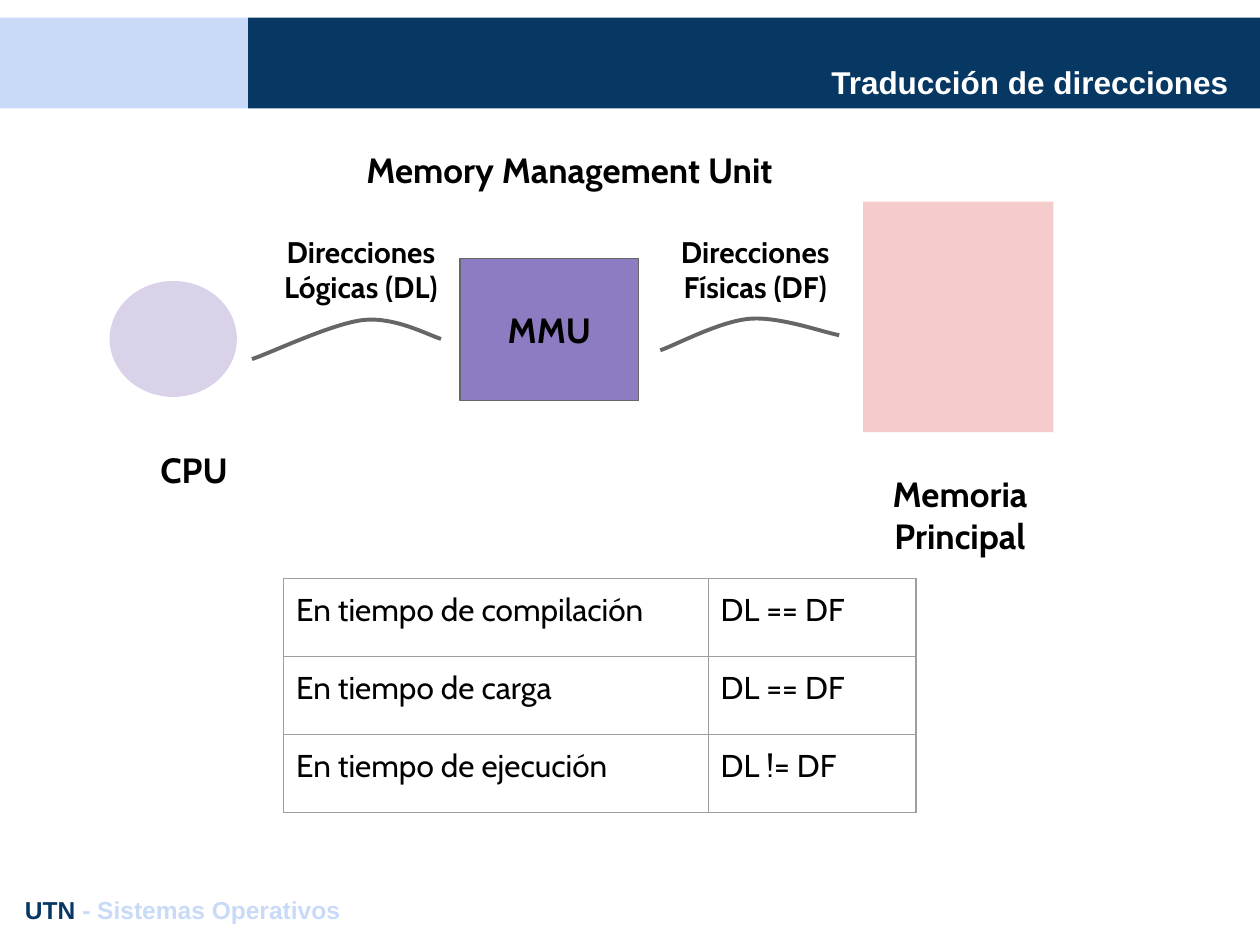
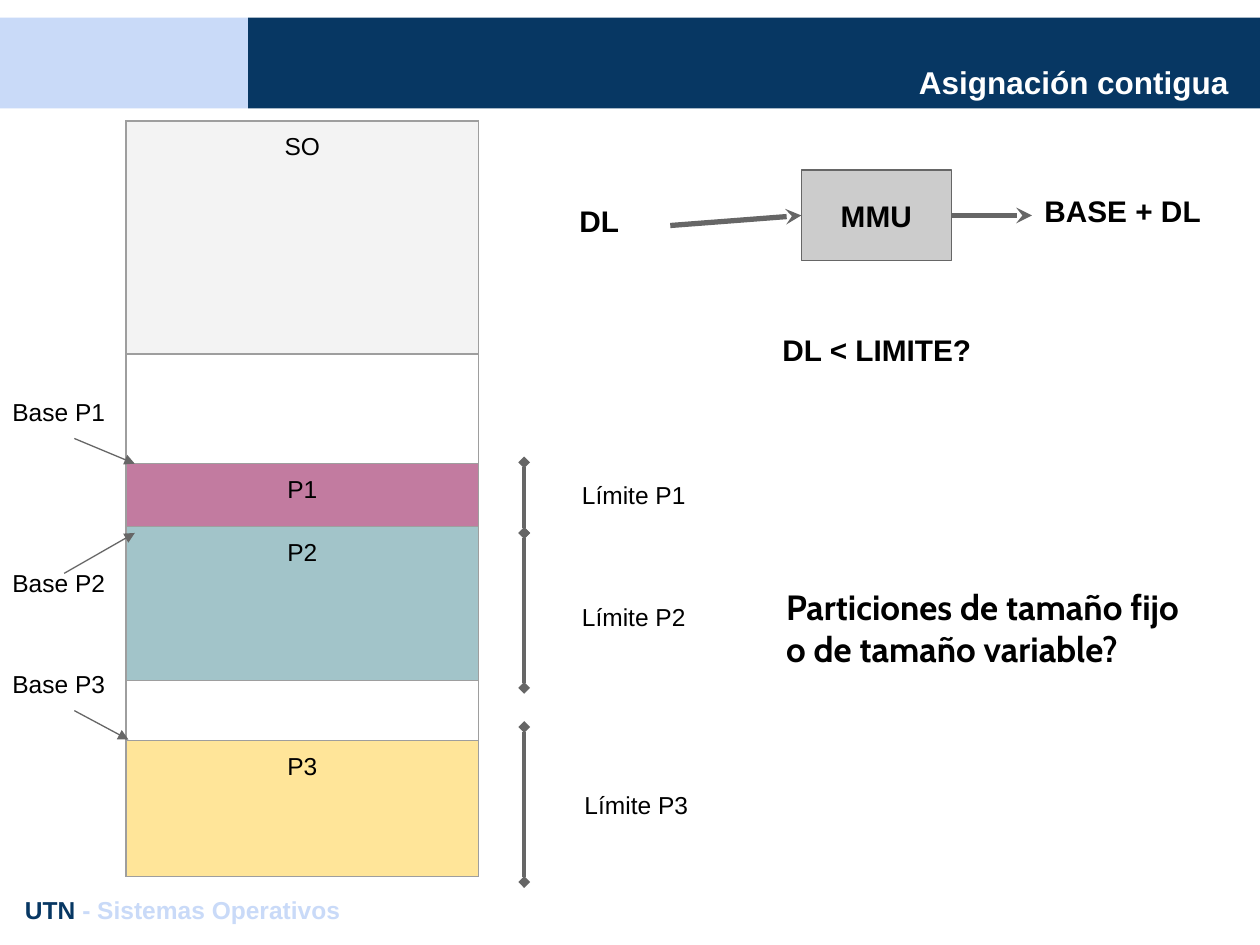
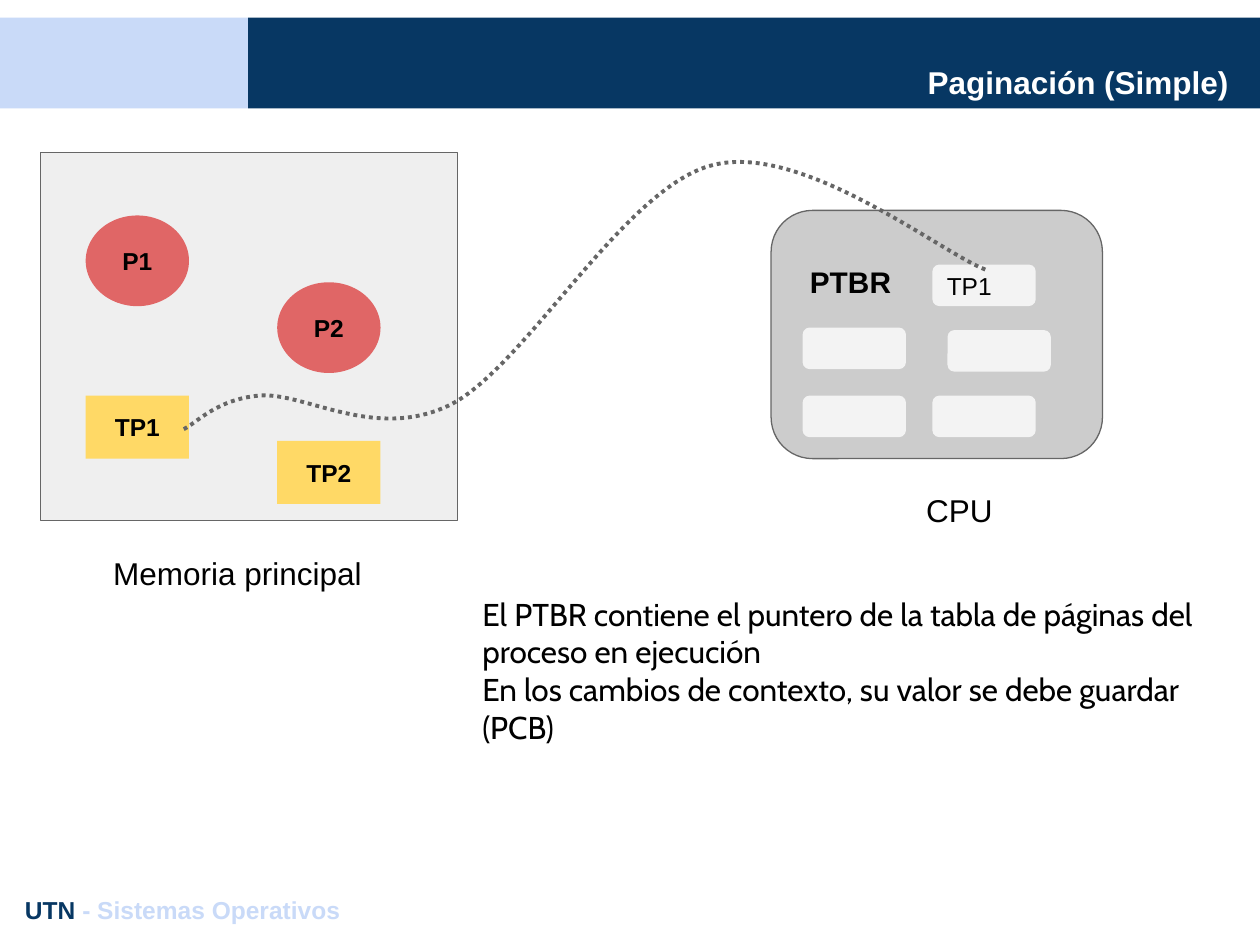
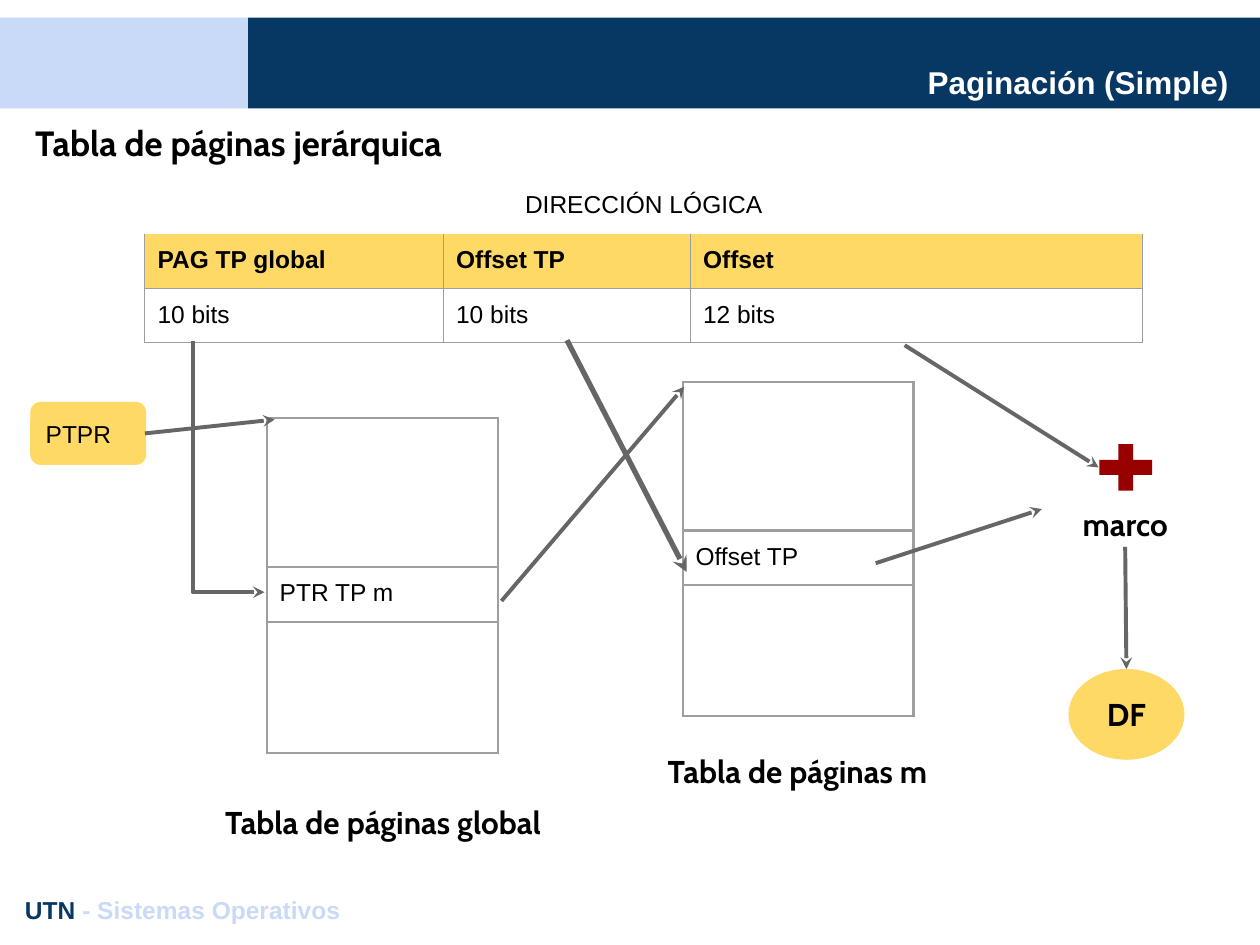
from dataclasses import dataclass, replace
from typing import NamedTuple, Optional, Sequence

from lxml.etree import SubElement
from pptx import Presentation
from pptx.dml.color import RGBColor
from pptx.enum.dml import MSO_LINE
from pptx.enum.shapes import MSO_CONNECTOR, MSO_SHAPE
from pptx.enum.text import MSO_ANCHOR, PP_ALIGN
from pptx.oxml.ns import qn
from pptx.util import Inches, Pt

COLORS = {
    "navy": "073763", "sky": "C9DAF8", "white": "FFFFFF", "black": "000000",
    "stroke": "666666", "grid": "9E9E9E", "violet": "8E7CC3", "lilac": "D9D2E9",
    "rose": "F4CCCC", "cloud": "F3F3F3", "fog": "EFEFEF", "steel": "CCCCCC",
    "mauve": "C27BA0", "teal": "A2C4C9", "cream": "FFE599", "amber": "FFD966",
    "coral": "E06666", "crimson": "980000",
}
INSET = Inches(0.1)
PLAIN_TABLE_STYLE = "{2D5ABB26-0587-4C30-8999-92F81FD0307C}"
ALL_SIDES = "LRTB"


class Box(NamedTuple):
    left: float
    top: float
    width: float
    height: float

    def lengths(self) -> list[int]:
        return [Inches(value) for value in self]


class Point(NamedTuple):
    x: float
    y: float


@dataclass(frozen=True)
class Style:
    size: int
    font: str = "Arial"
    bold: bool = False
    color: str = "black"
    align: PP_ALIGN = PP_ALIGN.LEFT
    anchor: MSO_ANCHOR = MSO_ANCHOR.TOP
    indent: float = 0
    spacing: Optional[float] = None


@dataclass(frozen=True)
class Cell:
    text: str = ""
    fill: Optional[str] = None
    style: Style = Style(14)
    sides: str = ALL_SIDES
    span: int = 1


def centered(style: Style) -> Style:
    return replace(style, align=PP_ALIGN.CENTER)


def in_shape(style: Style) -> Style:
    return replace(style, anchor=MSO_ANCHOR.MIDDLE)


LABEL = Style(14)
LABEL_BOLD = Style(14, bold=True)
FORMULA = Style(17, bold=True)
CAPTION = centered(Style(18))
BODY = Style(18, "Cabin")
NAME = centered(Style(18, "Cabin", True))
HEADING = Style(20, "Cabin", True)
ADDRESS = centered(Style(17, "Cabin", True, anchor=MSO_ANCHOR.BOTTOM))
TITLE = Style(18, bold=True, color="white", align=PP_ALIGN.RIGHT,
              anchor=MSO_ANCHOR.BOTTOM)
FOOTER = replace(LABEL_BOLD, color="navy")


def rgb(color: str) -> RGBColor:
    return RGBColor.from_string(COLORS[color])


def add_run(paragraph, text: str, style: Style) -> None:
    run = paragraph.add_run()
    run.text = text
    run.font.size, run.font.name, run.font.bold = Pt(style.size), style.font, style.bold
    run.font.color.rgb = rgb(style.color)


def write(frame, lines: Sequence[str], style: Style) -> None:
    """Fill a text frame with one paragraph per line."""
    frame.word_wrap = True
    frame.vertical_anchor = style.anchor
    frame.margin_left = frame.margin_right = INSET
    frame.margin_top = frame.margin_bottom = INSET
    for index, line in enumerate(lines):
        paragraph = frame.add_paragraph() if index else frame.paragraphs[0]
        paragraph.alignment = style.align
        if style.indent:
            paragraph._p.get_or_add_pPr().set("marL", str(Inches(style.indent)))
        if style.spacing:
            paragraph.line_spacing = style.spacing
        add_run(paragraph, line, style)


def add_text(slide, box: Box, style: Style, *lines: str):
    frame = slide.shapes.add_textbox(*box.lengths()).text_frame
    write(frame, lines, style)
    return frame


def add_block(slide, kind: MSO_SHAPE, box: Box, fill: str, text: str = "",
              style: Style = LABEL, outlined: bool = False) -> None:
    block = slide.shapes.add_shape(kind, *box.lengths())
    block.shadow.inherit = False
    block.fill.solid()
    block.fill.fore_color.rgb = rgb(fill)
    if outlined:
        block.line.color.rgb = rgb("stroke")
        block.line.width = Pt(0.75)
    else:
        block.line.fill.background()
    if text:
        write(block.text_frame, [text], in_shape(style))


def add_arrow(slide, start: Point, end: Point, width: float = 2.25,
              tail: str = "stealth", head: str = "",
              kind: MSO_CONNECTOR = MSO_CONNECTOR.STRAIGHT):
    arrow = slide.shapes.add_connector(
        kind, *(Inches(value) for value in (*start, *end)))
    arrow.line.color.rgb = rgb("stroke")
    arrow.line.width = Pt(width)
    ends = arrow.line._get_or_add_ln()
    for tag, shape in (("a:headEnd", head), ("a:tailEnd", tail)):
        if shape:
            SubElement(ends, qn(tag)).set("type", shape)
    SubElement(arrow._element.spPr, qn("a:effectLst"))
    return arrow


def add_down_then_right(slide, start: Point, end: Point) -> None:
    """Elbow arrow with one corner: an elbow turned by 270 degrees."""
    middle = Point((start.x + end.x) / 2, (start.y + end.y) / 2)
    half_width, half_height = (end.y - start.y) / 2, (end.x - start.x) / 2
    elbow = add_arrow(slide,
                      Point(middle.x + half_width, middle.y - half_height),
                      Point(middle.x - half_width, middle.y + half_height),
                      kind=MSO_CONNECTOR.ELBOW)
    properties = elbow._element.spPr
    properties.find(qn("a:xfrm")).set("rot", str(270 * 60000))
    guides = properties.find(qn("a:prstGeom")).get_or_add_avLst()
    corner = SubElement(guides, qn("a:gd"))
    corner.set("name", "adj1")
    corner.set("fmla", "val 100000")


def add_curve(slide, start: Point, segments: Sequence[Sequence[Point]],
              dotted: bool = False) -> None:
    """Draw cubic segments, each given as two control points and an end."""
    builder = slide.shapes.build_freeform(Inches(start.x), Inches(start.y))
    builder.add_line_segments(
        [(Inches(end.x), Inches(end.y)) for _, _, end in segments], close=False)
    curve = builder.convert_to_shape()
    curve.shadow.inherit = False
    curve.fill.background()
    curve.line.color.rgb = rgb("stroke")
    curve.line.width = Pt(2.25)
    if dotted:
        curve.line.dash_style = MSO_LINE.ROUND_DOT
    straights = list(curve._element.iter(qn("a:lnTo")))
    for straight, segment in zip(straights, segments):
        straight.tag = qn("a:cubicBezTo")
        straight.clear()
        for point in segment:
            corner = SubElement(straight, qn("a:pt"))
            corner.set("x", str(Inches(point.x) - curve.left))
            corner.set("y", str(Inches(point.y) - curve.top))


def set_borders(cell, sides: str, width: float) -> None:
    properties = cell._tc.get_or_add_tcPr()
    for side in ALL_SIDES:
        border = SubElement(properties, qn(f"a:ln{side}"))
        if side in sides:
            border.set("w", str(Pt(width)))
            fill = SubElement(border, qn("a:solidFill"))
            SubElement(fill, qn("a:srgbClr")).set("val", COLORS["grid"])
        else:
            SubElement(border, qn("a:noFill"))


def fill_cell(cell, content: Cell, border: float) -> None:
    cell.margin_left = cell.margin_right = INSET
    cell.margin_top = cell.margin_bottom = INSET
    set_borders(cell, content.sides, border)
    if content.fill:
        cell.fill.solid()
        cell.fill.fore_color.rgb = rgb(content.fill)
    else:
        cell.fill.background()
    paragraph = cell.text_frame.paragraphs[0]
    paragraph.alignment = content.style.align
    if content.text:
        add_run(paragraph, content.text, content.style)
    else:
        paragraph._p.get_or_add_endParaRPr().set("sz", str(content.style.size * 100))


def add_grid(slide, corner: Point, widths: Sequence[float],
             heights: Sequence[float], rows: Sequence[Sequence[Cell]],
             border: float = 0.75) -> None:
    box = Box(*corner, sum(widths), sum(heights))
    table = slide.shapes.add_table(len(heights), len(widths), *box.lengths()).table
    table.first_row = table.horz_banding = False
    table._tbl.tblPr.find(qn("a:tableStyleId")).text = PLAIN_TABLE_STYLE
    for column, width in zip(table.columns, widths):
        column.width = Inches(width)
    for row, height in zip(table.rows, heights):
        row.height = Inches(height)
    for r, row in enumerate(rows):
        for c, content in enumerate(row):
            cell = table.cell(r, c)
            if content.span > 1:
                cell.merge(table.cell(r, c + content.span - 1))
            fill_cell(cell, content, border)


def start_slide(deck, title: str):
    """Add a blank slide with the bands, the title and the footer."""
    slide = deck.slides.add_slide(deck.slide_layouts[6])
    add_block(slide, MSO_SHAPE.RECTANGLE, Box(0, 0.14, 1.97, 0.72), "sky")
    add_block(slide, MSO_SHAPE.RECTANGLE, Box(1.97, 0.14, 8.03, 0.72), "navy")
    add_text(slide, Box(1.35, 0.4, 8.5, 0.5), TITLE, title)
    footer = add_text(slide, Box(0.1, 7, 9.8, 0.44), FOOTER, "UTN ")
    add_run(footer.paragraphs[0], "- Sistemas Operativos", replace(FOOTER, color="sky"))
    return slide


def build_translation(deck) -> None:
    slide = start_slide(deck, "Traducción de direcciones")
    moments = [("En tiempo de compilación", "DL == DF"),
               ("En tiempo de carga", "DL == DF"),
               ("En tiempo de ejecución", "DL != DF")]
    add_grid(slide, Point(2.25, 4.59), [3.37, 1.65], [0.62] * 3,
             [[Cell(text, style=BODY) for text in moment] for moment in moments])

    name = centered(HEADING)
    add_block(slide, MSO_SHAPE.RECTANGLE, Box(3.65, 2.05, 1.42, 1.13), "violet",
              "MMU", name, outlined=True)
    add_block(slide, MSO_SHAPE.OVAL, Box(0.87, 2.23, 1.01, 0.92), "lilac")
    add_block(slide, MSO_SHAPE.RECTANGLE, Box(6.85, 1.6, 1.51, 1.83), "rose")
    add_text(slide, Box(2.19, 1.08, 4.66, 0.44), name, "Memory Management Unit")
    add_text(slide, Box(0.83, 3.46, 1.42, 0.44), name, "CPU")
    add_text(slide, Box(6.72, 3.65, 1.8, 0.44), name, "Memoria Principal")
    for left, text in ((1.88, "Direcciones Lógicas (DL)"),
                       (5.01, "Direcciones Físicas (DF)")):
        add_text(slide, Box(left, 1.6, 1.97, 0.92), ADDRESS, text)

    add_curve(slide, Point(2, 2.85), [
        (Point(2.15, 2.8), Point(2.63, 2.57), Point(2.88, 2.54)),
        (Point(3.13, 2.51), Point(3.4, 2.66), Point(3.5, 2.69))])
    add_curve(slide, Point(5.24, 2.78), [
        (Point(5.36, 2.74), Point(5.71, 2.55), Point(5.95, 2.53)),
        (Point(6.19, 2.51), Point(6.54, 2.64), Point(6.66, 2.66))])


def build_contiguous(deck) -> None:
    slide = start_slide(deck, "Asignación contigua")
    partitions = [("SO", "cloud", 1.85), ("", None, 0.87), ("P1", "mauve", 0.5),
                  ("P2", "teal", 1.22), ("", None, 0.48), ("P3", "cream", 1.08)]
    add_grid(slide, Point(1, 0.96), [2.8], [height for _, _, height in partitions],
             [[Cell(text, fill, centered(LABEL))] for text, fill, _ in partitions])

    bases = [("Base P1", 3.05, Point(0.59, 3.48), Point(1.07, 3.68)),
             ("Base P2", 4.41, Point(0.51, 4.55), Point(1.07, 4.23)),
             ("Base P3", 5.21, Point(0.59, 5.64), Point(1.02, 5.87))]
    for text, top, start, end in bases:
        add_text(slide, Box(0, top, 1.19, 0.44), LABEL, text)
        add_arrow(slide, start, end, 0.75, "triangle")

    limits = [("Límite P1", Point(4.52, 3.71), 3.67, 4.23),
              ("Límite P2", Point(4.52, 4.68), 4.23, 5.46),
              ("Límite P3", Point(4.54, 6.17), 5.77, 7)]
    for text, corner, first, last in limits:
        add_text(slide, Box(*corner, 1.19, 0.44), LABEL, text)
        add_arrow(slide, Point(4.16, first), Point(4.16, last),
                  tail="diamond", head="diamond")

    add_block(slide, MSO_SHAPE.RECTANGLE, Box(6.36, 1.35, 1.19, 0.72), "steel",
              "MMU", centered(FORMULA), outlined=True)
    add_text(slide, Box(4.5, 1.51, 0.82, 0.56), FORMULA, "DL")
    add_text(slide, Box(8.19, 1.43, 1.47, 0.56), FORMULA, "BASE + DL")
    add_text(slide, Box(6.06, 2.53, 1.8, 0.56), centered(FORMULA), "DL < LIMITE?")
    add_arrow(slide, Point(5.32, 1.79), Point(6.36, 1.71), 3)
    add_arrow(slide, Point(7.55, 1.71), Point(8.19, 1.71), 3)
    add_text(slide, Box(6.14, 4.55, 3.5, 2.28), HEADING,
             "Particiones de tamaño fijo o de tamaño variable?")


def build_base_register(deck) -> None:
    slide = start_slide(deck, "Paginación (Simple)")
    add_block(slide, MSO_SHAPE.RECTANGLE, Box(0.32, 1.21, 3.31, 2.92), "fog",
              outlined=True)
    add_text(slide, Box(0.75, 4.3, 2.27, 0.5), CAPTION, "Memoria principal")
    processes = [("1", 0.68, 1.71, 3.14), ("2", 2.2, 2.24, 3.5)]
    for number, left, process_top, page_table_top in processes:
        add_block(slide, MSO_SHAPE.OVAL, Box(left, process_top, 0.82, 0.72), "coral",
                  f"P{number}", centered(LABEL_BOLD))
        add_block(slide, MSO_SHAPE.RECTANGLE, Box(left, page_table_top, 0.82, 0.5),
                  "amber", f"TP{number}", centered(LABEL_BOLD))

    add_block(slide, MSO_SHAPE.ROUNDED_RECTANGLE, Box(6.12, 1.67, 2.63, 1.97),
              "steel", outlined=True)
    add_text(slide, Box(6.48, 3.8, 2.27, 0.5), CAPTION, "CPU")
    registers = [(7.4, 2.1, "TP1"), (6.37, 2.6, ""), (7.52, 2.62, ""),
                 (6.37, 3.14, ""), (7.4, 3.14, "")]
    for left, top, text in registers:
        add_block(slide, MSO_SHAPE.ROUNDED_RECTANGLE, Box(left, top, 0.82, 0.33),
                  "cloud", text)
    add_text(slide, Box(6.25, 1.96, 1.27, 0.44),
             replace(FORMULA, align=PP_ALIGN.JUSTIFY, indent=0.08, spacing=1.11),
             "PTBR")

    add_curve(slide, Point(7.82, 2.14), [
        (Point(7.46, 2), Point(6.37, 1.13), Point(5.66, 1.31)),
        (Point(4.96, 1.48), Point(4.18, 2.9), Point(3.58, 3.21)),
        (Point(2.98, 3.51), Point(2.42, 3.11), Point(2.06, 3.14)),
        (Point(1.71, 3.17), Point(1.55, 3.37), Point(1.45, 3.41))], dotted=True)
    add_text(slide, Box(3.73, 4.62, 6.1, 1.67), BODY,
             "El PTBR contiene el puntero de la tabla de páginas del proceso en ejecución",
             "En los cambios de contexto, su valor se debe guardar (PCB)")


def build_hierarchy(deck) -> None:
    slide = start_slide(deck, "Paginación (Simple)")
    add_text(slide, Box(0.1, 0.9, 6.35, 1.08),
             replace(HEADING, indent=0.08, spacing=0.91), "Tabla de páginas jerárquica")

    fields = [("PAG TP global", "10 bits"), ("Offset TP", "10 bits"),
              ("Offset", "12 bits")]
    add_grid(slide, Point(1.15, 1.42), [2.37, 1.96, 3.59], [0.42] * 3, [
        [Cell("DIRECCIÓN LÓGICA", style=centered(LABEL), sides="", span=3)],
        [Cell(field, "amber", LABEL_BOLD, "LRB") for field, _ in fields],
        [Cell(size) for _, size in fields]])

    page_tables = [("PTR TP m", Point(2.12, 3.32), "Tabla de páginas global", Point(1.46, 6.27)),
                   ("Offset TP", Point(5.42, 3.03), "Tabla de páginas m", Point(4.75, 5.87))]
    for entry, corner, name, name_corner in page_tables:
        add_grid(slide, corner, [1.83], [1.18, 0.42, 1.04],
                 [[Cell()], [Cell(entry)], [Cell()]], border=1.5)
        add_text(slide, Box(*name_corner, 3.16, 0.44), NAME, name)

    add_block(slide, MSO_SHAPE.ROUNDED_RECTANGLE, Box(0.24, 3.19, 0.92, 0.5),
              "amber", "PTPR")
    add_text(slide, Box(8.27, 3.91, 1.32, 0.44), NAME, "marco")
    add_block(slide, MSO_SHAPE.MATH_PLUS, Box(8.65, 3.46, 0.57, 0.5), "crimson")
    add_block(slide, MSO_SHAPE.OVAL, Box(8.48, 5.31, 0.92, 0.72), "amber", "DF", NAME)

    add_down_then_right(slide, Point(1.53, 2.71), Point(2.1, 4.7))
    steps = [(Point(3.98, 4.77), Point(5.43, 3.07)),
             (Point(1.15, 3.44), Point(2.18, 3.33)),
             (Point(6.95, 4.47), Point(8.27, 4.04)),
             (Point(7.18, 2.74), Point(8.72, 3.71)),
             (Point(8.93, 4.34), Point(8.94, 5.31))]
    for start, end in steps:
        add_arrow(slide, start, end)
    add_arrow(slide, Point(4.5, 2.7), Point(5.45, 4.54), 3)


def main() -> None:
    deck = Presentation()
    deck.slide_width, deck.slide_height = Inches(10), Inches(7.5)
    for build in (build_translation, build_contiguous, build_base_register,
                  build_hierarchy):
        build(deck)
    deck.save("out.pptx")


if __name__ == "__main__":
    main()
